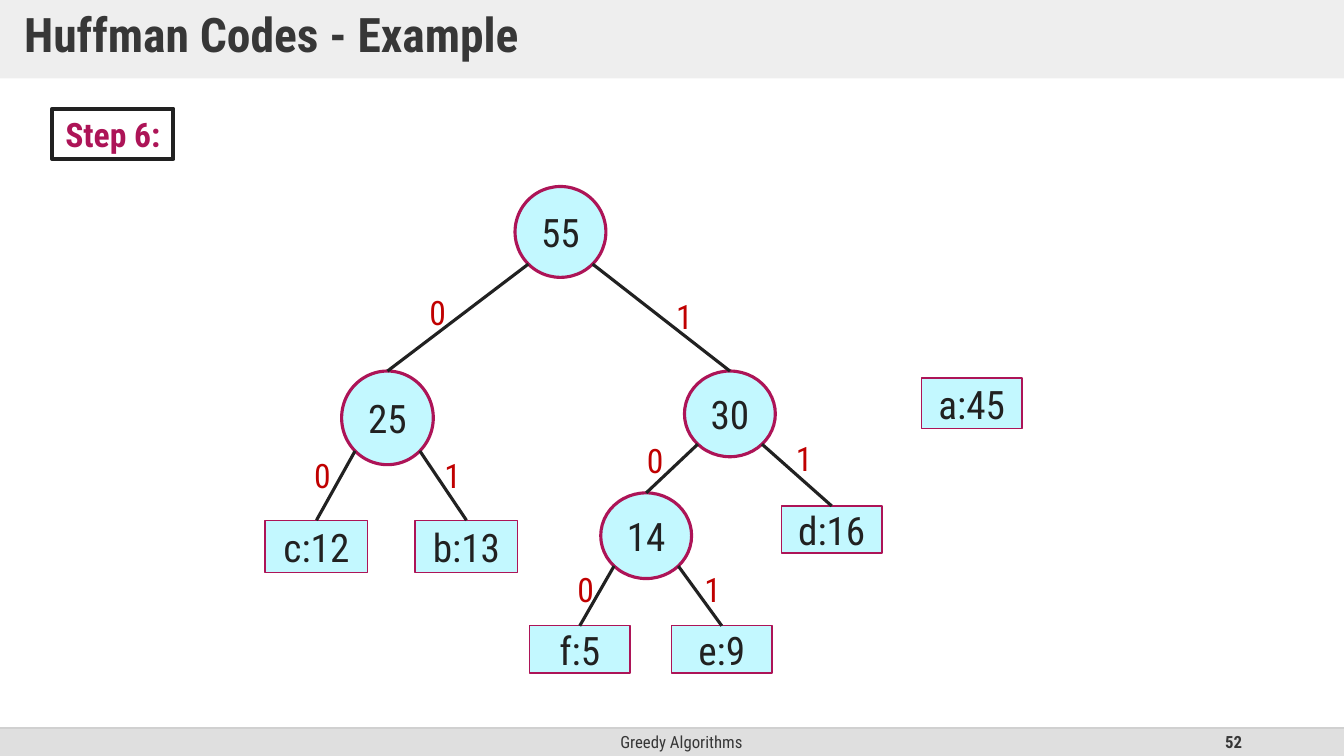
from math import sqrt

from lxml import etree
from pptx import Presentation
from pptx.dml.color import RGBColor
from pptx.enum.shapes import MSO_CONNECTOR, MSO_SHAPE
from pptx.enum.text import MSO_ANCHOR, PP_ALIGN
from pptx.oxml.ns import qn
from pptx.util import Cm, Pt

RECTANGLE, CIRCLE = MSO_SHAPE.RECTANGLE, MSO_SHAPE.OVAL
STRAIGHT = MSO_CONNECTOR.STRAIGHT
TOP, MIDDLE = MSO_ANCHOR.TOP, MSO_ANCHOR.MIDDLE
LEFT, CENTER, RIGHT = PP_ALIGN.LEFT, PP_ALIGN.CENTER, PP_ALIGN.RIGHT
INK, GREY, PINK, AQUA, RED = "212121", "373737", "AD1457", "C3F8FF", "C00000"
BAR, RULE = "DFDFDF", "BFBFBF"
WIDTH, HEIGHT, FOOTER_TOP = 33.87, 19.05, 18.34
color = RGBColor.from_string


def write(box, text, size, ink, bold=False, align=CENTER, anchor=MIDDLE):
    frame = box.text_frame
    frame.word_wrap = True
    frame.vertical_anchor = anchor
    para = frame.paragraphs[0]
    para.alignment = align
    span = para.add_run()
    span.text = text
    span.font.name = "Roboto Condensed"
    span.font.size = Pt(size)
    span.font.bold = bold
    span.font.color.rgb = color(ink)


def draw(kind, left, top, width, height, fill=None, line=None, weight=1):
    shape = page.shapes.add_shape(kind, Cm(left), Cm(top), Cm(width), Cm(height))
    shape.shadow.inherit = False
    if fill:
        shape.fill.solid()
        shape.fill.fore_color.rgb = color(fill)
    else:
        shape.fill.background()
    if line:
        shape.line.color.rgb = color(line)
        shape.line.width = Pt(weight)
    else:
        shape.line.fill.background()
    return shape


deck = Presentation()
deck.slide_width, deck.slide_height = Cm(WIDTH), Cm(HEIGHT)
page = deck.slides.add_slide(deck.slide_layouts[6])

draw(RECTANGLE, 0, FOOTER_TOP, WIDTH, HEIGHT - FOOTER_TOP, fill=BAR)
for text, left, width, align, bold in [
    ("Greedy Algorithms", 11.23, 11.89, CENTER, False),
    ("52", 23.93, 7.62, RIGHT, True),
]:
    box = page.shapes.add_textbox(Cm(left), Cm(FOOTER_TOP), Cm(width), Cm(HEIGHT - FOOTER_TOP))
    write(box, text, 12, GREY, bold=bold, align=align)
footer_rule = page.shapes.add_connector(STRAIGHT, 0, Cm(FOOTER_TOP), Cm(WIDTH), Cm(FOOTER_TOP))

title = draw(RECTANGLE, 0, 0, WIDTH, 1.98, fill=BAR)
write(title, "Huffman Codes - Example", 34, GREY, bold=True, align=LEFT, anchor=TOP)
frame = title.text_frame
frame.margin_left = frame.margin_right = Cm(0.61)
frame.margin_top = frame.margin_bottom = Cm(0.3)
frame.paragraphs[0].line_spacing = 0.9

step = draw(RECTANGLE, 1.32, 2.74, 3.05, 1.27, line=INK, weight=3)
write(step, "Step 6:", 24, PINK, bold=True)

nodes = {}
for text, left, top, width, height in [
    ("55", 12.98, 4.7, 2.29, 2.29),
    ("25", 8.61, 9.35, 2.31, 2.36),
    ("30", 17.25, 9.35, 2.29, 2.16),
    ("14", 15.14, 12.42, 2.29, 2.16),
    ("a:45", 23.22, 9.53, 2.54, 1.27),
    ("c:12", 6.68, 13.11, 2.59, 1.32),
    ("b:13", 10.46, 13.11, 2.59, 1.32),
    ("d:16", 19.69, 12.75, 2.54, 1.19),
    ("f:5", 13.34, 15.77, 2.54, 1.19),
    ("e:9", 16.92, 15.77, 2.54, 1.19),
]:
    is_leaf = ":" in text
    kind, weight = (RECTANGLE, 1) if is_leaf else (CIRCLE, 2.25)
    nodes[text] = draw(kind, left, top, width, height, fill=AQUA, line=PINK, weight=weight)
    write(nodes[text], text, 28, INK)

branches = []
for parent, child, bit, left, top in [
    ("55", "25", "0", 10.57, 7.24),
    ("55", "30", "1", 16.79, 7.32),
    ("25", "c:12", "0", 7.67, 11.35),
    ("25", "b:13", "1", 10.95, 11.35),
    ("30", "14", "0", 16.05, 10.95),
    ("30", "d:16", "1", 19.81, 10.9),
    ("14", "f:5", "0", 14.3, 14.2),
    ("14", "e:9", "1", 17.5, 14.2),
]:
    circle = nodes[parent]
    side = 1 if bit == "1" else -1
    start_x = circle.left + round(circle.width / 2 * (1 + side / sqrt(2)))
    start_y = circle.top + round(circle.height / 2 * (1 + 1 / sqrt(2)))
    branch = page.shapes.add_connector(STRAIGHT, start_x, start_y, start_x, start_y)
    branch.end_connect(nodes[child], 0)
    branches.append(branch)
    label = page.shapes.add_textbox(Cm(left), Cm(top), Cm(1.02), Cm(1.27))
    write(label, bit, 24, RED, align=LEFT, anchor=TOP)

for connector in [footer_rule, *branches]:
    ink, weight = (RULE, 1) if connector is footer_rule else (INK, 2.25)
    connector.line.color.rgb = color(ink)
    connector.line.width = Pt(weight)
    etree.SubElement(connector._element.spPr, qn("a:effectLst"))

for shape, opacity in [(title, 50), (footer_rule, 70)]:
    tint = next(shape._element.spPr.iter(qn("a:srgbClr")))
    etree.SubElement(tint, qn("a:alpha"), val=str(opacity * 1000))

deck.save("out.pptx")
